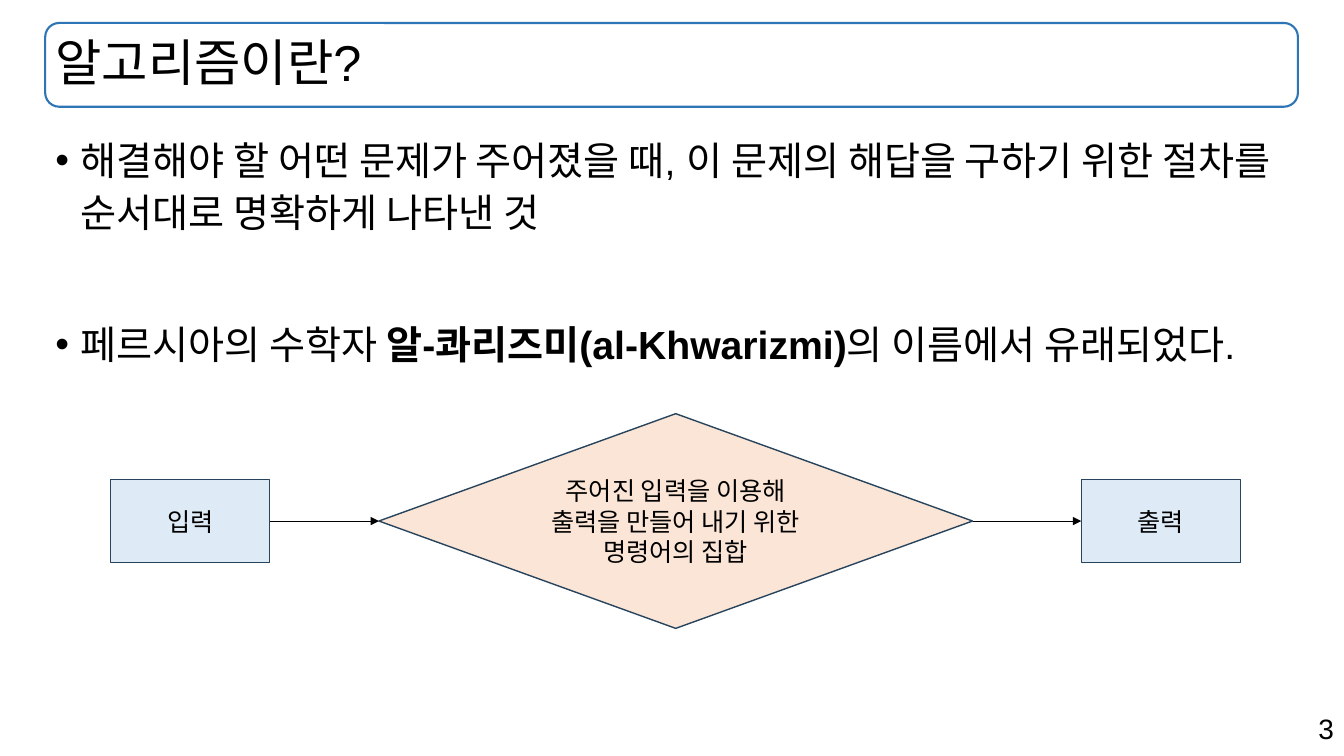
import dataclasses

import pptx
import pptx.dml.color
import pptx.enum.shapes
import pptx.enum.text
import pptx.oxml
import pptx.oxml.ns
import pptx.util
from pptx.util import Cm


@dataclasses.dataclass(frozen=True)
class Theme:
    font: str = "Arial"
    ink: str = "000000"
    frame: str = "2E75B6"
    outline: str = "28445D"
    data: str = "DEEBF7"
    process: str = "FBE5D6"
    title_size: int = 36
    body_size: int = 28
    number_size: int = 20
    label_size: int = 18


theme = Theme()
Shape = pptx.enum.shapes.MSO_SHAPE
Align = pptx.enum.text.PP_ALIGN
Anchor = pptx.enum.text.MSO_ANCHOR


def color(value):
    return pptx.dml.color.RGBColor.from_string(value)


def write(para, text, size, bold=False):
    span = para.add_run()
    span.text = text
    span.font.name = theme.font
    span.font.size = pptx.util.Pt(size)
    span.font.bold = bold
    span.font.color.rgb = color(theme.ink)


deck = pptx.Presentation()
deck.slide_width, deck.slide_height = Cm(33.87), Cm(19.05)
page = deck.slides.add_slide(deck.slide_layouts[1])

left, width = Cm(1.14), Cm(31.57)
title_top, title_height = Cm(0.58), Cm(2.11)

title = page.shapes.title
title.left, title.top, title.width, title.height = left, title_top, width, title_height
title.text_frame.auto_size = pptx.enum.text.MSO_AUTO_SIZE.NONE
title.text_frame.vertical_anchor = Anchor.MIDDLE
para = title.text_frame.paragraphs[0]
para.alignment = Align.LEFT
para.line_spacing = 0.9
write(para, "알고리즘이란?", theme.title_size)

frame = page.shapes.add_shape(Shape.ROUNDED_RECTANGLE, left, title_top, width, title_height)
frame.shadow.inherit = False
frame.fill.background()
frame.line.color.rgb = color(theme.frame)
frame.line.width = pptx.util.Pt(1.5)
title.element.addprevious(frame.element)

bullets = [
    (0, [("해결해야 할 어떤 문제가 주어졌을 때, 이 문제의 해답을 구하기 위한 절차를 순서대로 명확하게 나타낸 것", False)]),
    (57, [("페르시아의 수학자 ", False), ("알-콰리즈미(al-Khwarizmi)", True), ("의 이름에서 유래되었다.", False)]),
]
body = page.placeholders[1]
body.left, body.top, body.width, body.height = left, Cm(3.2), width, Cm(14.05)
body.text_frame.auto_size = pptx.enum.text.MSO_AUTO_SIZE.NONE
for index, (space, spans) in enumerate(bullets):
    para = body.text_frame.add_paragraph() if index else body.text_frame.paragraphs[0]
    properties = para._p.get_or_add_pPr()
    properties.set("marL", str(Cm(0.64)))
    properties.set("indent", str(-Cm(0.64)))
    para.line_spacing = 1.1
    para.space_before = pptx.util.Pt(space)
    for text, bold in spans:
        write(para, text, theme.body_size, bold)

flow_middle = Cm(13.13)
steps = [
    (Shape.RECTANGLE, 2.79, 4.01, 2.08, theme.data, ["입력"]),
    (Shape.DIAMOND, 9.55, 14.96, 5.41, theme.process,
     ["주어진 입력을 이용해", "출력을 만들어 내기 위한", "명령어의 집합"]),
    (Shape.RECTANGLE, 27.25, 4.01, 2.08, theme.data, ["출력"]),
]
boxes = []
for kind, step_left, step_width, step_height, fill, lines in steps:
    box = page.shapes.add_shape(kind, Cm(step_left), flow_middle - Cm(step_height / 2),
                                Cm(step_width), Cm(step_height))
    box.shadow.inherit = False
    box.fill.solid()
    box.fill.fore_color.rgb = color(fill)
    box.line.color.rgb = color(theme.outline)
    box.line.width = pptx.util.Pt(1)
    box.text_frame.word_wrap = True
    box.text_frame.vertical_anchor = Anchor.MIDDLE
    for index, text in enumerate(lines):
        para = box.text_frame.add_paragraph() if index else box.text_frame.paragraphs[0]
        para.alignment = Align.CENTER
        write(para, text, theme.label_size)
    boxes.append(box)

for source, target in zip(boxes, boxes[1:]):
    arrow = page.shapes.add_connector(pptx.enum.shapes.MSO_CONNECTOR.STRAIGHT,
                                      source.left + source.width, flow_middle,
                                      target.left, flow_middle)
    arrow.begin_connect(source, 3)
    arrow.end_connect(target, 1)
    arrow.line.color.rgb = color(theme.ink)
    arrow.line.width = pptx.util.Pt(0.5)
    head = pptx.oxml.parse_xml(f'<a:tailEnd {pptx.oxml.ns.nsdecls("a")} type="triangle"/>')
    arrow.line._get_or_add_ln().append(head)
    arrow.element.spPr.append(pptx.oxml.parse_xml(f'<a:effectLst {pptx.oxml.ns.nsdecls("a")}/>'))

number = page.shapes.add_textbox(Cm(23.96), Cm(17.81), Cm(9.91), Cm(1.11))
number.text_frame.word_wrap = True
para = number.text_frame.paragraphs[0]
para.alignment = Align.RIGHT
write(para, "3", theme.number_size)

deck.save("out.pptx")
